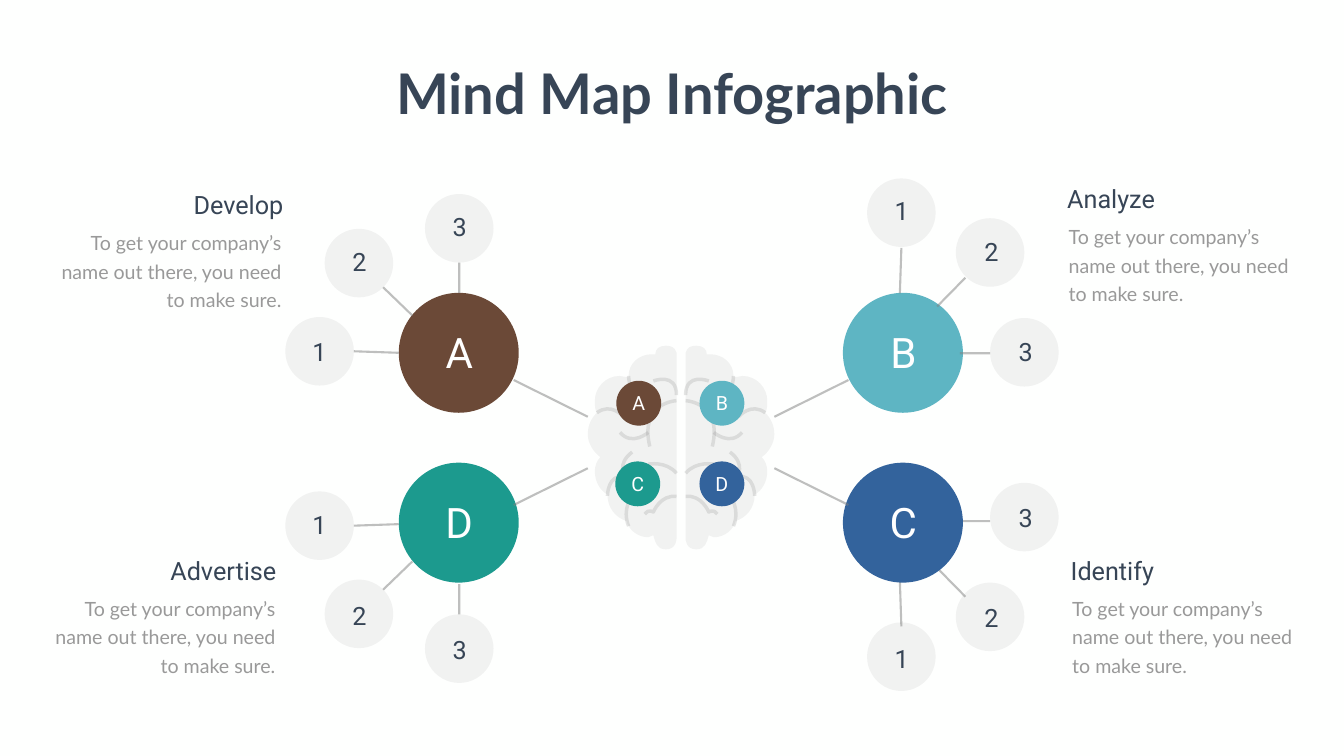
"""Build the Mind Map Infographic slide: four lettered hubs around a brain."""
import dataclasses
import typing

import lxml.etree
import pptx
import pptx.dml.color
import pptx.enum.shapes
import pptx.enum.text
import pptx.oxml.ns
import pptx.util

Inches = pptx.util.Inches
Pt = pptx.util.Pt
Align = pptx.enum.text.PP_ALIGN
qn = pptx.oxml.ns.qn
Point = typing.Tuple[float, float]
Curve = typing.Tuple[Point, ...]


@dataclasses.dataclass(frozen=True)
class Theme:
    paper: str = "FEFFFE"
    ink: str = "374556"
    body: str = "999999"
    gray: str = "808080"
    white: str = "FFFFFF"
    brown: str = "6B4937"
    cyan: str = "5EB5C3"
    teal: str = "1C9A8E"
    blue: str = "33639C"
    heading_font: str = "Roboto"
    body_font: str = "Lato"
    title_size: float = 80
    hub_size: float = 60
    label_size: float = 36
    text_size: float = 28
    line_spacing: float = 40.8


class Node(typing.NamedTuple):
    label: str
    center: Point
    label_center: Point
    spoke: typing.Tuple[Point, Point]


class Hub(typing.NamedTuple):
    letter: str
    color: str
    center: Point
    nodes: typing.List[Node]
    spokes_behind: bool = False


class Badge(typing.NamedTuple):
    letter: str
    color: str
    center: Point


class Note(typing.NamedTuple):
    heading: str
    left: float
    top: float
    heading_width: float
    body_left: float
    body_width: float
    align: typing.Any


THEME = Theme()
BODY = "To get your company’s name out there, you need to make sure."
MIRROR_X, STEM_FLIP = 27.02, 17.56

LEFT_NODES = [
    Node("1", (6.34, 6.97), (6.33, 6.98), ((7.02, 6.97), (7.91, 7))),
    Node("2", (7.12, 5.22), (7.12, 5.19), ((7.6, 5.7), (8.18, 6.26))),
    Node("3", (9.11, 4.53), (9.11, 4.5), ((9.11, 5.21), (9.11, 5.81))),
]
RIGHT_NODES = [
    Node("1", (17.88, 4.22), (17.88, 4.19), ((17.88, 4.92), (17.85, 5.82))),
    Node("2", (19.64, 5.01), (19.66, 5), ((19.15, 5.51), (18.59, 6.08))),
    Node("3", (20.32, 6.99), (20.34, 6.98), ((19.64, 7.01), (19.04, 7.01))),
]
BADGES = [
    Badge("A", THEME.brown, (12.67, 8)),
    Badge("B", THEME.cyan, (14.32, 8)),
    Badge("C", THEME.teal, (12.65, 9.6)),
    Badge("D", THEME.blue, (14.32, 9.6)),
]
NOTES = [
    Note("Develop", 3.69, 3.71, 2.03, 1, 4.68, Align.RIGHT),
    Note("Identify", 21.14, 10.96, 1.9, 21.17, 4.68, Align.LEFT),
    Note("Analyze", 21.07, 3.59, 1.99, 21.1, 4.75, Align.LEFT),
    Note("Advertise", 3.23, 10.96, 2.35, 0.79, 4.77, Align.RIGHT),
]
BRAIN_HALF: Curve = (
    (13.42, 7.07), (13.42, 7.03), (13.42, 7), (13.42, 7), (13.39, 6.89), (13.31, 6.86), (13.21, 6.86),
    (13.07, 6.86), (13, 6.93), (13, 7.03), (12.96, 7.03), (12.93, 7.03), (12.93, 7.03),
    (12.68, 7.03), (12.47, 7.21), (12.47, 7.46), (12.47, 7.49), (12.47, 7.49), (12.47, 7.49),
    (12.4, 7.49), (12.36, 7.46), (12.29, 7.46), (12.01, 7.46), (11.8, 7.7), (11.8, 7.95),
    (11.8, 8.05), (11.8, 8.12), (11.84, 8.19), (11.73, 8.3), (11.66, 8.44), (11.66, 8.62),
    (11.66, 8.79), (11.77, 8.97), (11.91, 9.07), (11.84, 9.14), (11.8, 9.25), (11.8, 9.35),
    (11.8, 9.56), (11.91, 9.74), (12.05, 9.81),
    (12.05, 10.09), (12.22, 10.27), (12.43, 10.34), (12.47, 10.51), (12.65, 10.66), (12.86, 10.66),
    (12.89, 10.66), (12.93, 10.62), (12.96, 10.62), (13, 10.76), (13.03, 10.9), (13.21, 10.9),
    (13.42, 10.9), (13.42, 10.69), (13.42, 10.69),
)
FOLDS: typing.List[Curve] = [
    ((13.42, 7.95), (13.42, 7.95), (12.68, 7.98), (12.89, 8.86)),
    ((12.96, 7.56), (12.96, 7.56), (13.42, 7.38), (13.42, 7.84)),
    ((12.47, 7.46), (12.47, 7.46), (12.47, 7.7), (12.61, 7.84)),
    ((11.84, 8.19), (12.12, 7.98), (12.36, 8.26), (12.36, 8.26), (12.36, 8.26), (12.43, 8.02), (12.79, 8.12)),
    ((12.05, 9.84), (12.05, 9.84), (12.05, 9.39), (12.4, 9.46), (12.4, 9.46), (12.22, 9.21), (12.54, 8.97)),
    ((12.54, 9.84), (12.54, 9.84), (12.33, 10.09), (12.47, 10.44)),
    ((13.42, 9.85), (13.1, 9.81), (12.96, 10.16), (12.96, 10.16), (12.96, 10.16), (12.86, 10.09), (12.79, 10.2)),
    ((12.86, 8.58), (12.86, 8.58), (12.54, 8.86), (12.3, 8.58)),
    ((12.86, 9.21), (12.86, 9.21), (13.21, 9.14), (13.42, 9.39)),
]


def paint(target, color: str, opacity: int = 100) -> None:
    target.solid()
    target.fore_color.rgb = pptx.dml.color.RGBColor.from_string(color)
    if opacity < 100:
        for clr in target._xPr.iter(qn("a:srgbClr")):
            lxml.etree.SubElement(clr, qn("a:alpha"), val=str(opacity * 1000))


def add_text(s, text: str, left: float, top: float, width: float, height: float, *, size: float,
             color: str, font: str = THEME.heading_font, align=Align.CENTER, bold: bool = False,
             wrap: bool = True, spacing: typing.Optional[float] = None) -> None:
    tf = s.shapes.add_textbox(Inches(left), Inches(top), Inches(width), Inches(height)).text_frame
    tf.word_wrap = wrap
    tf.auto_size = pptx.enum.text.MSO_AUTO_SIZE.SHAPE_TO_FIT_TEXT
    p = tf.paragraphs[0]
    p.alignment = align
    if spacing:
        p.line_spacing = Pt(spacing)
    r = p.add_run()
    r.text = text
    r.font.name, r.font.size, r.font.bold = font, Pt(size), bold
    r.font.color.rgb = pptx.dml.color.RGBColor.from_string(color)


def add_disc(s, center: Point, diameter: float, color: str, opacity: int = 100) -> None:
    x, y = center
    sp = s.shapes.add_shape(pptx.enum.shapes.MSO_SHAPE.OVAL, Inches(x - diameter / 2),
                            Inches(y - diameter / 2), Inches(diameter), Inches(diameter))
    sp.shadow.inherit = False
    sp.line.fill.background()
    paint(sp.fill, color, opacity)


def add_label(s, text: str, center: Point, width: float, height: float, size: float, color: str) -> None:
    x, y = center
    add_text(s, text, x - width / 2, y - height / 2, width, height, size=size, color=color)


def add_spoke(s, start: Point, end: Point) -> None:
    line = s.shapes.add_connector(pptx.enum.shapes.MSO_CONNECTOR.STRAIGHT,
                                  *(Inches(v) for v in (*start, *end)))
    line.line.width = Pt(3)
    paint(line.line.fill, THEME.gray, 50)
    lxml.etree.SubElement(line._element.spPr, qn("a:effectLst"))


def mirrored(curve: Curve) -> Curve:
    return tuple((MIRROR_X - x, y) for x, y in curve)


def flipped(nodes: typing.List[Node], center_sum: float, spoke_sum: float) -> typing.List[Node]:
    return [Node(n.label, *((x, center_sum - y) for x, y in (n.center, n.label_center)),
                 tuple((x, spoke_sum - y) for x, y in n.spoke)) for n in nodes]


def add_curve(s, curve: Curve, *, closed: bool = False) -> None:
    start, *rest = [(Inches(x), Inches(y)) for x, y in curve]
    builder = s.shapes.build_freeform(*start)
    builder.add_line_segments(rest, close=closed)
    sp = builder.convert_to_shape()
    segments = list(sp._element.iter(qn("a:lnTo")))
    for i in range(0, len(segments), 3):
        bezier = lxml.etree.Element(qn("a:cubicBezTo"))
        segments[i].addprevious(bezier)
        for segment in segments[i:i + 3]:
            bezier.append(segment[0])
            segment.getparent().remove(segment)
    sp.shadow.inherit = False
    if closed:
        paint(sp.fill, THEME.gray, 10)
        sp.line.fill.background()
    else:
        sp.fill.background()
        sp.line.width = Pt(5)
        paint(sp.line.fill, THEME.gray, 20)


def add_hub(s, hub: Hub) -> None:
    spokes = [node.spoke for node in hub.nodes]
    for spoke in spokes if hub.spokes_behind else []:
        add_spoke(s, *spoke)
    add_disc(s, hub.center, 2.38, hub.color)
    x, y = hub.center
    add_label(s, hub.letter, (x + 0.01, y - 0.01), 2.06, 1.11, THEME.hub_size, THEME.white)
    for node in hub.nodes:
        add_disc(s, node.center, 1.36, THEME.gray, 10)
        add_label(s, node.label, node.label_center, 0.46, 0.71, THEME.label_size, THEME.ink)
    for spoke in [] if hub.spokes_behind else spokes:
        add_spoke(s, *spoke)


def add_brain(s) -> None:
    for side in (tuple, mirrored):
        add_curve(s, side(BRAIN_HALF), closed=True)
        for fold in FOLDS:
            add_curve(s, side(fold))
    for badge in BADGES:
        add_disc(s, badge.center, 0.89, badge.color)
        add_label(s, badge.letter, badge.center, 0.46, 0.57, THEME.text_size, THEME.white)
    stem = ((10.19, 7.54), (11.66, 8.27))
    for top in (stem, mirrored(stem)):
        add_spoke(s, *top)
        add_spoke(s, *((x, STEM_FLIP - y) for x, y in top))


def main() -> None:
    prs = pptx.Presentation()
    prs.slide_width, prs.slide_height = Inches(26.66), Inches(15)
    s = prs.slides.add_slide(prs.slide_layouts[6])
    paint(s.background.fill, THEME.paper)
    for hub in (
        Hub("A", THEME.brown, (9.1, 7), LEFT_NODES),
        Hub("B", THEME.cyan, (17.91, 7), RIGHT_NODES),
        Hub("D", THEME.teal, (9.1, 10.37), flipped(LEFT_NODES, 17.4, 17.4)),
        Hub("C", THEME.blue, (17.91, 10.37), flipped(RIGHT_NODES, 17.25, 17.35), True),
    ):
        add_hub(s, hub)
    add_brain(s)
    for n in NOTES:
        add_text(s, n.heading, n.left, n.top, n.heading_width, 0.71, size=THEME.label_size,
                 color=THEME.ink, align=n.align, wrap=False)
        add_text(s, BODY, n.body_left, n.top + 0.73, n.body_width, 1.77, size=THEME.text_size,
                 color=THEME.body, font=THEME.body_font, align=n.align, spacing=THEME.line_spacing)
    add_text(s, "Mind Map Infographic", 7.69, 1.12, 11.28, 1.45, size=THEME.title_size,
             color=THEME.ink, font=THEME.body_font, bold=True, wrap=False)
    prs.save("out.pptx")


if __name__ == "__main__":
    main()
